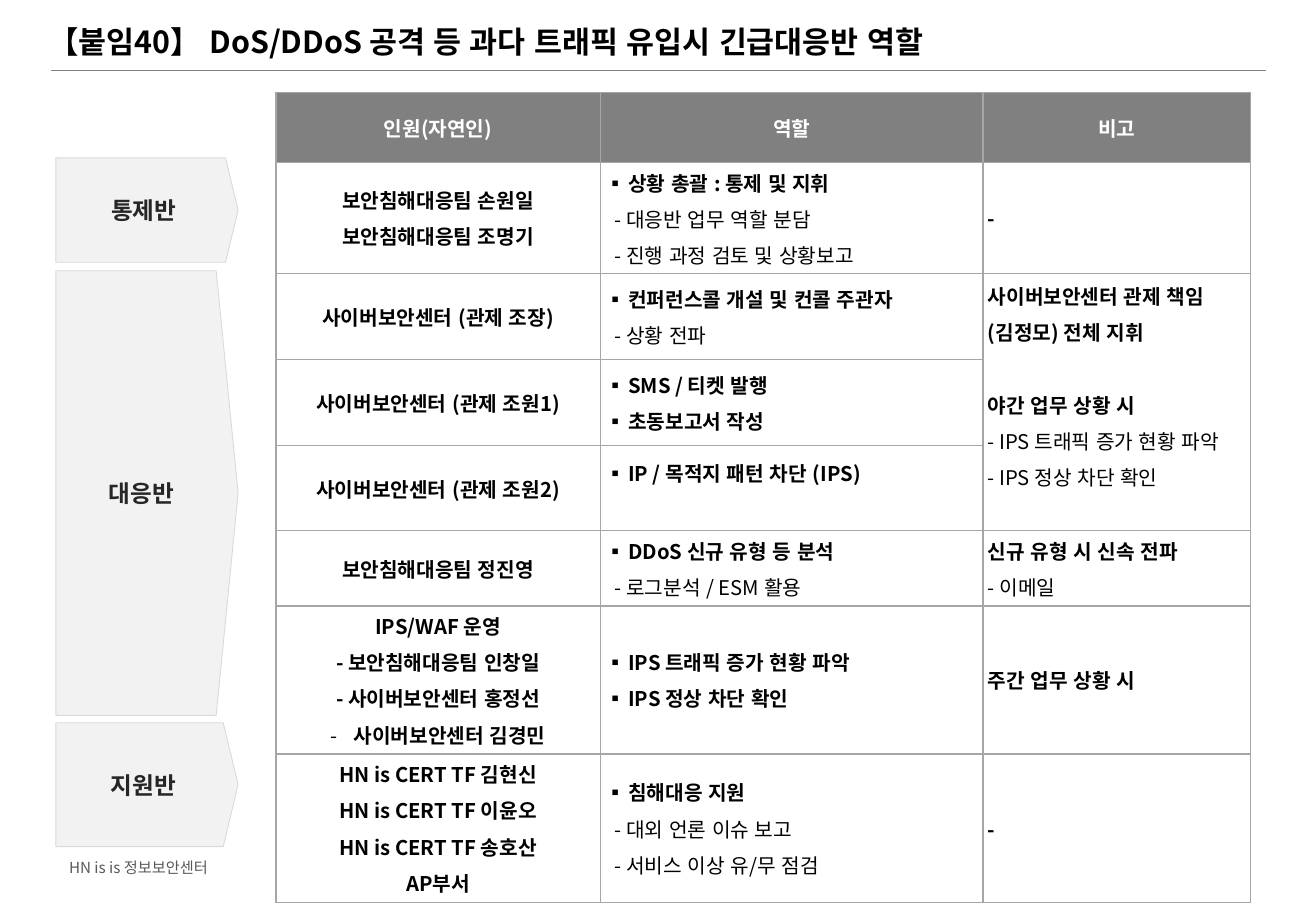
from lxml.etree import SubElement
from pptx import Presentation
from pptx.dml.color import RGBColor
from pptx.enum.lang import MSO_LANGUAGE_ID
from pptx.enum.shapes import MSO_CONNECTOR, MSO_SHAPE
from pptx.enum.text import MSO_ANCHOR, PP_ALIGN
from pptx.oxml import parse_xml
from pptx.oxml.ns import nsdecls, qn
from pptx.util import Inches, Pt

FONT = "Noto Sans CJK KR"
COLORS = {
    "black": "000000", "white": "FFFFFF", "header": "808080", "border": "A6A6A6",
    "footer": "595959", "squad": "262626", "squad_fill": "F2F2F2", "squad_line": "D9D9D9",
}
BULLETS = {"square": "▪", "center_dash": "-"}
BOLD_STYLES = {"center", "left", "square", "center_dash", "gap"}
SUB_INDENT = 0.08
COLUMN_WIDTHS = [2.67, 3.15, 2.2]
ROW_HEIGHTS = [0.58, 0.91, 0.71, 0.71, 0.7, 0.62, 1.22, 1.22]
HEADINGS = ["인원(자연인)", "역할", "비고"]
ROLES = [
    [[("center", "보안침해대응팀 손원일"), ("center", "보안침해대응팀 조명기")],
     [("square", "상황 총괄 : 통제 및 지휘"), ("sub", "- 대응반 업무 역할 분담"),
      ("sub", "- 진행 과정 검토 및 상황보고")],
     [("left", "-")]],
    [[("center", "사이버보안센터 (관제 조장)")],
     [("square", "컨퍼런스콜 개설 및 컨콜 주관자"), ("sub", "- 상황 전파")],
     [("left", "사이버보안센터 관제 책임"), ("left", "(김정모) 전체 지휘"),
      ("gap", "야간 업무 상황 시"), ("note", "- IPS 트래픽 증가 현황 파악"),
      ("note", "- IPS 정상 차단 확인")]],
    [[("center", "사이버보안센터 (관제 조원1)")],
     [("square", "SMS / 티켓 발행"), ("square", "초동보고서 작성")], []],
    [[("center", "사이버보안센터 (관제 조원2)")],
     [("square", "IP / 목적지 패턴 차단 (IPS)")], []],
    [[("center", "보안침해대응팀 정진영")],
     [("square", "DDoS 신규 유형 등 분석"), ("sub", "- 로그분석 / ESM 활용")],
     [("left", "신규 유형 시 신속 전파"), ("note", "- 이메일")]],
    [[("center", "IPS/WAF 운영"), ("center", "- 보안침해대응팀 인창일"),
      ("center", "- 사이버보안센터 홍정선"), ("center_dash", "사이버보안센터 김경민")],
     [("square", "IPS 트래픽 증가 현황 파악"), ("square", "IPS 정상 차단 확인")],
     [("left", "주간 업무 상황 시")]],
    [[("center", "HN is CERT TF 김현신"), ("center", "HN is CERT TF 이윤오"),
      ("center", "HN is CERT TF 송호산"), ("center", "AP부서")],
     [("square", "침해대응 지원"), ("sub", "- 대외 언론 이슈 보고"),
      ("sub", "- 서비스 이상 유/무 점검")],
     [("left", "-")]],
]
SQUADS = [("통제반", 1.3, 0.86), ("대응반", 2.23, 3.66), ("지원반", 5.95, 1.02)]


def rgb(name):
    """Return the named colour."""
    return RGBColor.from_string(COLORS[name])


def format_runs(paragraph, size, color, bold):
    """Apply the slide's font to every run of a paragraph."""
    for run in paragraph.runs:
        run.font.name = FONT
        run.font.size = Pt(size)
        run.font.bold = bold
        run.font.language_id = MSO_LANGUAGE_ID.KOREAN
        run.font.color.rgb = rgb(color)
        SubElement(run.font._element, qn("a:ea"), typeface=FONT)


def add_label(slide, text, box, size, color, bold):
    """Add a single-line text box."""
    label = slide.shapes.add_textbox(*map(Inches, box))
    frame = label.text_frame
    frame.text = text
    frame.word_wrap = True
    frame.vertical_anchor = MSO_ANCHOR.MIDDLE
    format_runs(frame.paragraphs[0], size, color, bold)


def add_title_rule(slide):
    """Draw the line under the title."""
    rule = slide.shapes.add_connector(
        MSO_CONNECTOR.STRAIGHT, Inches(0.42), Inches(0.58), Inches(10.42), Inches(0.58))
    rule.line.color.rgb = rgb("header")
    rule.line.width = Pt(1)
    SubElement(rule._element.spPr, qn("a:effectLst"))


def add_squad(slide, name, top, height):
    """Add a pentagon naming one response squad."""
    squad = slide.shapes.add_shape(
        MSO_SHAPE.PENTAGON, Inches(0.46), Inches(top), Inches(1.5), Inches(height))
    squad.adjustments[0] = 0.12
    squad.shadow.inherit = False
    squad.fill.solid()
    squad.fill.fore_color.rgb = rgb("squad_fill")
    squad.line.color.rgb = rgb("squad_line")
    squad.line.width = Pt(0.5)
    frame = squad.text_frame
    frame.text = name
    frame.word_wrap = False
    frame.vertical_anchor = MSO_ANCHOR.MIDDLE
    frame.paragraphs[0].alignment = PP_ALIGN.CENTER
    format_runs(frame.paragraphs[0], 14, "squad", True)


def style_cell(cell, fill, margin):
    """Set the borders, fill, margins and anchor of a cell."""
    properties = cell._tc.get_or_add_tcPr()
    for index, side in enumerate(["lnL", "lnR", "lnT", "lnB"]):
        properties.insert(index, parse_xml(
            f'<a:{side} {nsdecls("a")} w="{Pt(1)}"><a:solidFill>'
            f'<a:srgbClr val="{COLORS["border"]}"/></a:solidFill></a:{side}>'))
    cell.fill.solid()
    cell.fill.fore_color.rgb = rgb(fill)
    cell.vertical_anchor = MSO_ANCHOR.MIDDLE
    cell.margin_left = cell.margin_right = Inches(margin)
    cell.margin_top = cell.margin_bottom = Inches(margin)


def write_role_line(paragraph, style, text, first):
    """Write one line of a table cell in its style."""
    paragraph.text = text
    centered = style.startswith("center")
    paragraph.alignment = PP_ALIGN.CENTER if centered else PP_ALIGN.LEFT
    properties = paragraph._p.get_or_add_pPr()
    if style in BULLETS:
        properties.set("marL", str(Inches(0.19)))
        properties.set("indent", str(Inches(-0.19)))
        SubElement(properties, qn("a:buFont"), typeface=FONT)
        SubElement(properties, qn("a:buChar"), char=BULLETS[style])
    elif style == "sub":
        properties.set("marL", str(Inches(SUB_INDENT)))
    if not first:
        paragraph.space_before = Pt(23.4 if style == "gap" else 2)
    paragraph.space_after = Pt(2)
    format_runs(paragraph, 12, "black", style in BOLD_STYLES)


def add_role_table(slide):
    """Add the table of people, roles and remarks."""
    table = slide.shapes.add_table(
        len(ROW_HEIGHTS), len(COLUMN_WIDTHS), Inches(2.27), Inches(0.76),
        Inches(sum(COLUMN_WIDTHS)), Inches(sum(ROW_HEIGHTS))).table
    table.horz_banding = False
    for column, width in zip(table.columns, COLUMN_WIDTHS):
        column.width = Inches(width)
    for row, height in zip(table.rows, ROW_HEIGHTS):
        row.height = Inches(height)
    for cell, heading in zip(table.rows[0].cells, HEADINGS):
        style_cell(cell, "header", 0)
        cell.text_frame.text = heading
        cell.text_frame.paragraphs[0].alignment = PP_ALIGN.CENTER
        format_runs(cell.text_frame.paragraphs[0], 12, "white", True)
    for row_index, role in enumerate(ROLES, 1):
        for cell, lines in zip(table.rows[row_index].cells, role):
            style_cell(cell, "white", 0.04)
            frame = cell.text_frame
            for index, (style, text) in enumerate(lines):
                paragraph = frame.add_paragraph() if index else frame.paragraphs[0]
                write_role_line(paragraph, style, text, index == 0)
    table.cell(2, 2).merge(table.cell(4, 2))
    for raised_cell in (table.cell(2, 2), table.cell(4, 1)):
        raised_cell.margin_bottom = Inches(0.3)


def main():
    """Build the emergency response roles slide."""
    deck = Presentation()
    deck.slide_width = Inches(10.83)
    deck.slide_height = Inches(7.5)
    slide = deck.slides.add_slide(deck.slide_layouts[6])
    add_title_rule(slide)
    add_label(slide, "HN is is 정보보안센터", (0.47, 7.01, 2.8, 0.26), 9, "footer", False)
    add_label(slide, "【붙임40】 DoS/DDoS 공격 등 과다 트래픽 유입시 긴급대응반 역할",
              (0.3, 0.16, 9.29, 0.36), 18, "black", True)
    add_role_table(slide)
    for name, top, height in SQUADS:
        add_squad(slide, name, top, height)
    deck.save("out.pptx")


if __name__ == "__main__":
    main()
